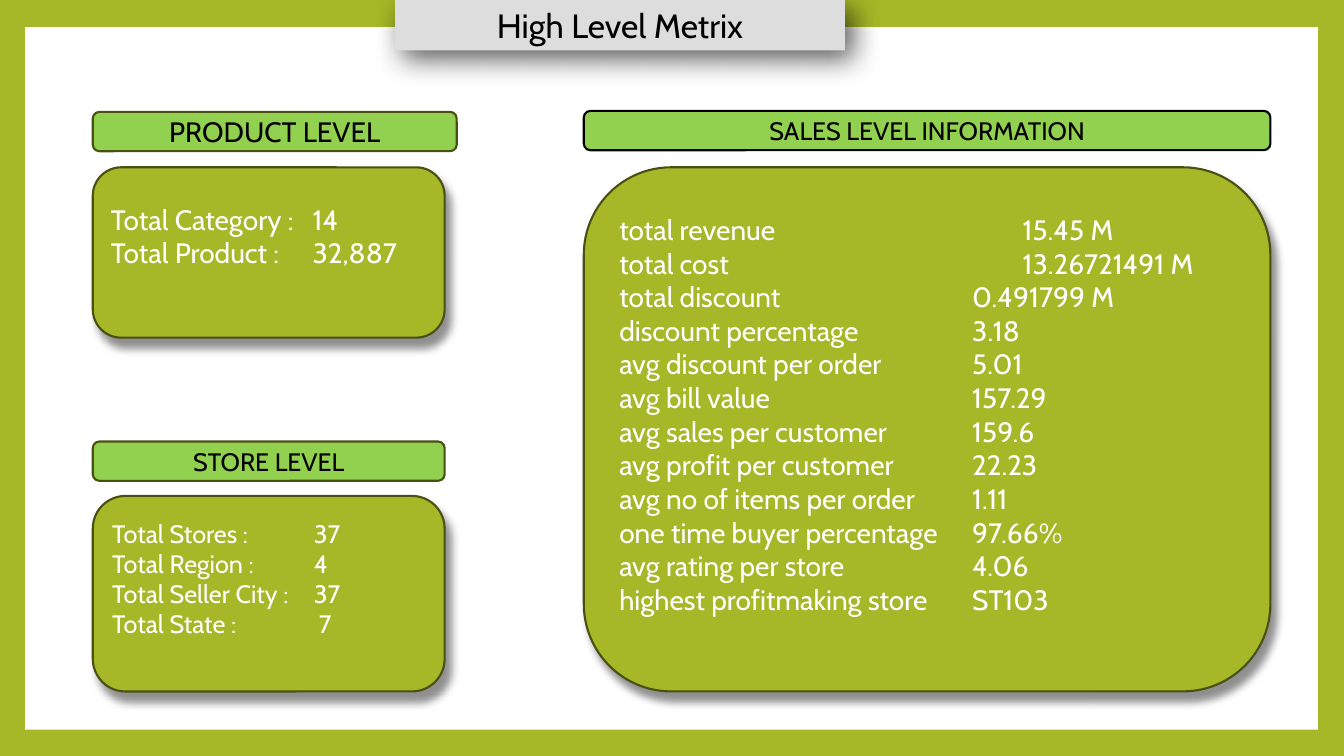
from lxml import etree
from pptx import Presentation
from pptx.dml.color import RGBColor
from pptx.enum.shapes import MSO_SHAPE
from pptx.enum.text import MSO_ANCHOR, MSO_AUTO_SIZE, PP_ALIGN
from pptx.oxml.ns import qn
from pptx.util import Inches, Pt

RECT, ROUND = MSO_SHAPE.RECTANGLE, MSO_SHAPE.ROUNDED_RECTANGLE
TOP, MIDDLE = MSO_ANCHOR.TOP, MSO_ANCHOR.MIDDLE
LEFT, CENTER = PP_ALIGN.LEFT, PP_ALIGN.CENTER
FIXED = MSO_AUTO_SIZE.NONE

FONT = "Cabin"
OLIVE, LIME, EDGE = "A6B727", "92D050", "495011"
GRAY, WHITE, BLACK = "DDDDDD", "FFFFFF", "000000"

PRODUCT = [("Total Category : ", "14", 2), ("Total Product : ", "32,887", 2)]
STORE = [
    ("Total Stores : ", "37", 2),
    ("Total Region : ", "4", 2),
    ("Total Seller City : ", "37", 2),
    ("Total State :", "7", 2.05),
]
SALES = [
    ("total revenue", "15.45 M", 4),
    ("total cost", "13.26721491 M", 4),
    ("total discount", "0.491799 M", 3.5),
    ("discount percentage", "3.18", 3.5),
    ("avg discount per order", "5.01", 3.5),
    ("avg bill value", "157.29", 3.5),
    ("avg sales per customer", "159.6", 3.5),
    ("avg profit per customer", "22.23", 3.5),
    ("avg no of items per order", "1.11", 3.5),
    ("one time buyer percentage", "97.66%", 3.5),
    ("avg rating per store", "4.06", 3.5),
    ("highest profitmaking store", "ST103", 3.5),
]


def paint(target, tint):
    """Fill a shape or background with a hex colour."""
    target.fill.solid()
    target.fill.fore_color.rgb = RGBColor.from_string(tint)


def assign(target, values):
    """Set each named attribute on the target."""
    for name, value in values.items():
        setattr(target, name, value)


def add_box(slide, kind, box, tint, edge=None):
    """Add a flat shape with an optional outline."""
    shape = slide.shapes.add_shape(kind, *map(Inches, box))
    shape.shadow.inherit = False
    paint(shape, tint)
    if edge:
        shape.line.color.rgb = RGBColor.from_string(edge)
        shape.line.width = Pt(1.5)
    else:
        shape.line.fill.background()
    return shape


def cast(shape, alpha, blur, dist, angle):
    """Give a shape a soft black shadow."""
    shape.shadow.inherit = False
    effects = shape.element.spPr.find(qn("a:effectLst"))
    outer = etree.SubElement(
        effects, qn("a:outerShdw"), blurRad=str(Pt(blur)), dist=str(Pt(dist)),
        dir=str(angle * 60000), algn="tl", rotWithShape="0")
    black = etree.SubElement(outer, qn("a:srgbClr"), val=BLACK)
    etree.SubElement(black, qn("a:alpha"), val=str(alpha * 1000))


def write(para, text, size, tint, align):
    """Write one formatted run into a paragraph."""
    para.alignment = align
    run = para.add_run()
    run.text = text
    assign(run.font, {"name": FONT, "size": Pt(size), "bold": False})
    run.font.color.rgb = RGBColor.from_string(tint)


def add_title(slide, box):
    """Place the slide title on its gray tab."""
    title = slide.shapes.title
    assign(title, dict(zip(("left", "top", "width", "height"), map(Inches, box))))
    paint(title, GRAY)
    cast(title, 63, 20, 8, 50)
    assign(title.text_frame, {
        "vertical_anchor": TOP, "auto_size": FIXED, "word_wrap": True,
        "margin_top": Inches(0.05), "margin_bottom": Inches(0.05)})
    para = title.text_frame.paragraphs[0]
    para.line_spacing = 1.0
    write(para, "High Level Metrix", 24, BLACK, CENTER)


def add_head(slide, box, text, size, edge=EDGE):
    """Add a lime section heading."""
    head = add_box(slide, ROUND, box, LIME, edge)
    assign(head.text_frame, {"vertical_anchor": MIDDLE, "word_wrap": True})
    write(head.text_frame.paragraphs[0], text, size, BLACK, CENTER)


def add_panel(slide, box, rows, size, foot):
    """Add an olive panel of labels and tabbed values."""
    panel = add_box(slide, ROUND, box, OLIVE, EDGE)
    cast(panel, 43, 6, 8, 60)
    frame = panel.text_frame
    assign(frame, {"vertical_anchor": MIDDLE, "word_wrap": True,
                   "margin_bottom": Inches(foot)})
    for i, (label, value, stop) in enumerate(rows):
        para = frame.add_paragraph() if i else frame.paragraphs[0]
        write(para, f"{label}\t{value}", size, WHITE, LEFT)
        tabs = etree.SubElement(para._p.get_or_add_pPr(), qn("a:tabLst"))
        etree.SubElement(tabs, qn("a:tab"), pos=str(Inches(stop)), algn="l")


def main():
    """Build and save the metrics slide."""
    deck = Presentation()
    assign(deck, {"slide_width": Inches(13.33), "slide_height": Inches(7.5)})
    slide = deck.slides.add_slide(deck.slide_layouts[5])
    paint(slide.background, OLIVE)
    page = add_box(slide, RECT, (0.25, 0.27, 12.82, 6.97), WHITE)
    slide.shapes.title.element.addprevious(page.element)
    add_title(slide, (3.92, 0, 4.46, 0.5))
    add_panel(slide, (5.79, 1.66, 6.81, 5.2), SALES, 20, 0.35)
    add_panel(slide, (0.92, 1.66, 3.49, 1.69), PRODUCT, 20, 0.38)
    add_panel(slide, (0.92, 4.92, 3.49, 1.94), STORE, 18, 0.35)
    add_head(slide, (0.92, 4.38, 3.49, 0.39), "STORE LEVEL", 18)
    add_head(slide, (0.92, 1.11, 3.61, 0.39), "PRODUCT LEVEL", 20)
    add_head(slide, (5.79, 1.1, 6.81, 0.39), "SALES LEVEL INFORMATION", 18, BLACK)
    deck.save("out.pptx")


if __name__ == "__main__":
    main()
